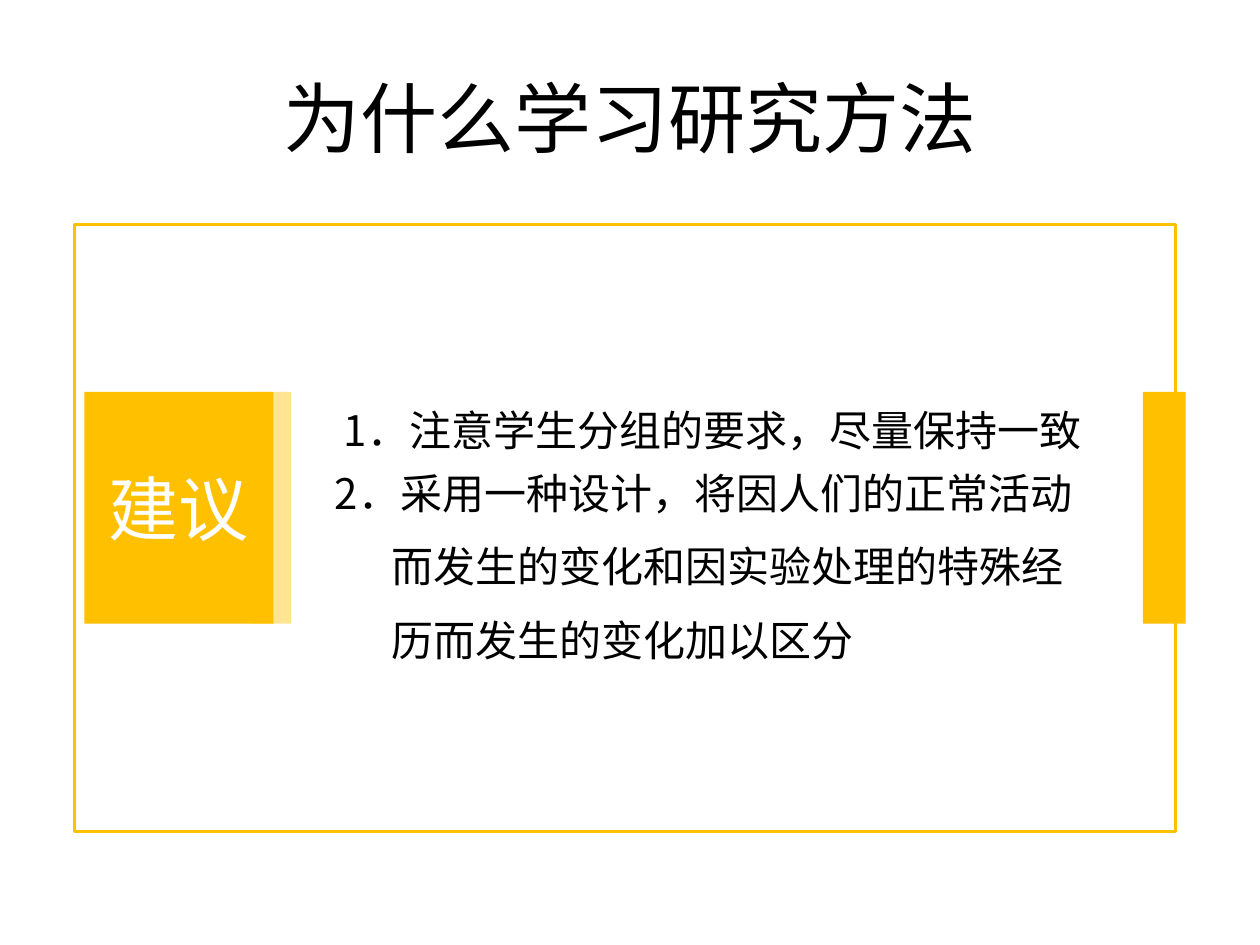
from pptx import Presentation
from pptx.dml.color import RGBColor
from pptx.enum.shapes import MSO_SHAPE
from pptx.enum.text import MSO_ANCHOR, PP_ALIGN
from pptx.oxml.ns import qn
from pptx.util import Inches, Pt
from lxml.etree import SubElement

AMBER = RGBColor(0xFF, 0xC0, 0x00)
PALE_AMBER = RGBColor(0xFF, 0xE5, 0x93)
WHITE = RGBColor(0xFF, 0xFF, 0xFF)
BLACK = RGBColor(0, 0, 0)
CJK_FONT = "Noto Sans CJK SC"
TITLE_FONT = "Calibri"

# Each paragraph: left margin, first-line indent, text (\v breaks the line)
ADVICE = [
    (0, 0.07, "1．注意学生分组的要求，尽量保持一致\v2．采用一种设计，将因人们的正常活动"),
    (0.45, 0, "而发生的变化和因实验处理的特殊经"),
    (0.45, 0, "历而发生的变化加以区分"),
]


def style_runs(p, name, size, color):
    for r in p.runs:
        for key, value in {"name": name, "size": Pt(size)}.items():
            setattr(r.font, key, value)
        r.font.color.rgb = color
        if name == CJK_FONT:
            SubElement(r.font._element, qn("a:ea")).set("typeface", name)


def add_rect(slide, left, top, width, height, fill=None, line=None):
    sp = slide.shapes.add_shape(MSO_SHAPE.RECTANGLE, Inches(left), Inches(top),
                                Inches(width), Inches(height))
    sp.shadow.inherit = False
    if fill is None:
        sp.fill.background()
    else:
        sp.fill.solid()
        sp.fill.fore_color.rgb = fill
    if line is None:
        sp.line.fill.background()
    else:
        sp.line.color.rgb = line
        sp.line.width = Pt(2)
    return sp


def add_title(slide, left, top, width, height, text):
    sp = slide.shapes.title
    box = {"left": left, "top": top, "width": width, "height": height}
    for key, value in box.items():
        setattr(sp, key, Inches(value))
    tf = sp.text_frame
    tf.text = text
    tf.vertical_anchor = MSO_ANCHOR.MIDDLE
    p = tf.paragraphs[0]
    p.alignment = PP_ALIGN.CENTER
    style_runs(p, TITLE_FONT, 44, BLACK)


def add_frame(slide, left, top, width, height, label):
    """Outlined panel with a label block on the left and a tab on the right."""
    band_top, band_height = top + 1.33, 1.84
    add_rect(slide, left + width - 0.26, band_top, 0.34, band_height, AMBER)
    add_rect(slide, left, top, width, height, line=AMBER)
    add_rect(slide, left + 1.4, band_top, 0.32, band_height, PALE_AMBER)
    block = add_rect(slide, left + 0.08, band_top, 1.5, band_height, AMBER)
    tf = block.text_frame
    for side in ("left", "top", "right", "bottom"):
        setattr(tf, f"margin_{side}", 0)
    tf.vertical_anchor = MSO_ANCHOR.MIDDLE
    tf.text = label
    p = tf.paragraphs[0]
    p.alignment = PP_ALIGN.CENTER
    style_runs(p, CJK_FONT, 40, WHITE)


def add_advice(slide, left, top, width, height, items):
    tf = slide.shapes.add_textbox(Inches(left), Inches(top),
                                  Inches(width), Inches(height)).text_frame
    tf.word_wrap = True
    tf.vertical_anchor = MSO_ANCHOR.MIDDLE
    for i, (margin, indent, text) in enumerate(items):
        p = tf.add_paragraph() if i else tf.paragraphs[0]
        p.text = text
        p.line_spacing = 1.25
        p.space_before = Pt(6)
        pPr = p._p.get_or_add_pPr()
        pPr.set("marL", str(Inches(margin)))
        pPr.set("indent", str(Inches(indent)))
        style_runs(p, CJK_FONT, 24, BLACK)


def main():
    prs = Presentation()
    prs.slide_width, prs.slide_height = Inches(10), Inches(7.5)
    slide = prs.slides.add_slide(prs.slide_layouts[5])
    add_frame(slide, 0.59, 1.78, 8.74, 4.82, "建议")
    add_advice(slide, 2.56, 3.29, 7.27, 1.8, ADVICE)
    add_title(slide, 0.5, 0.3, 9, 1.25, "为什么学习研究方法")
    prs.save("out.pptx")


if __name__ == "__main__":
    main()
